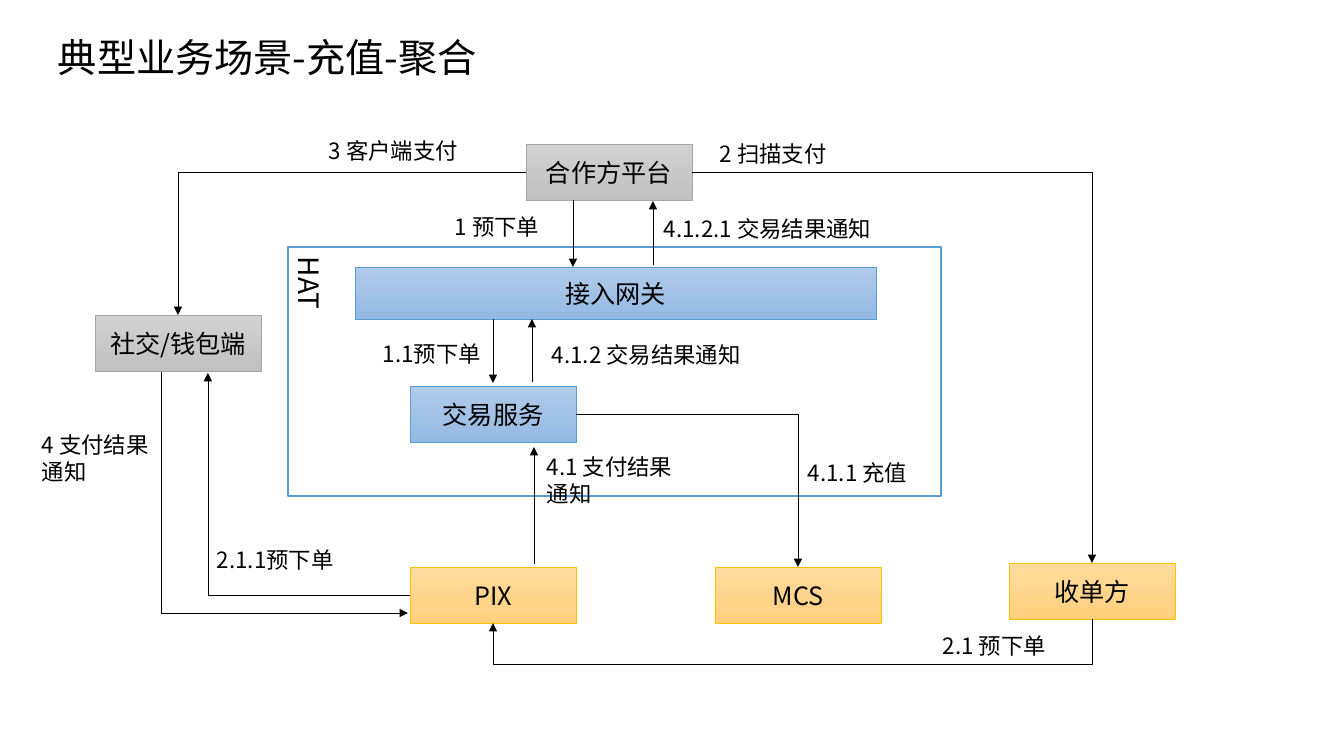
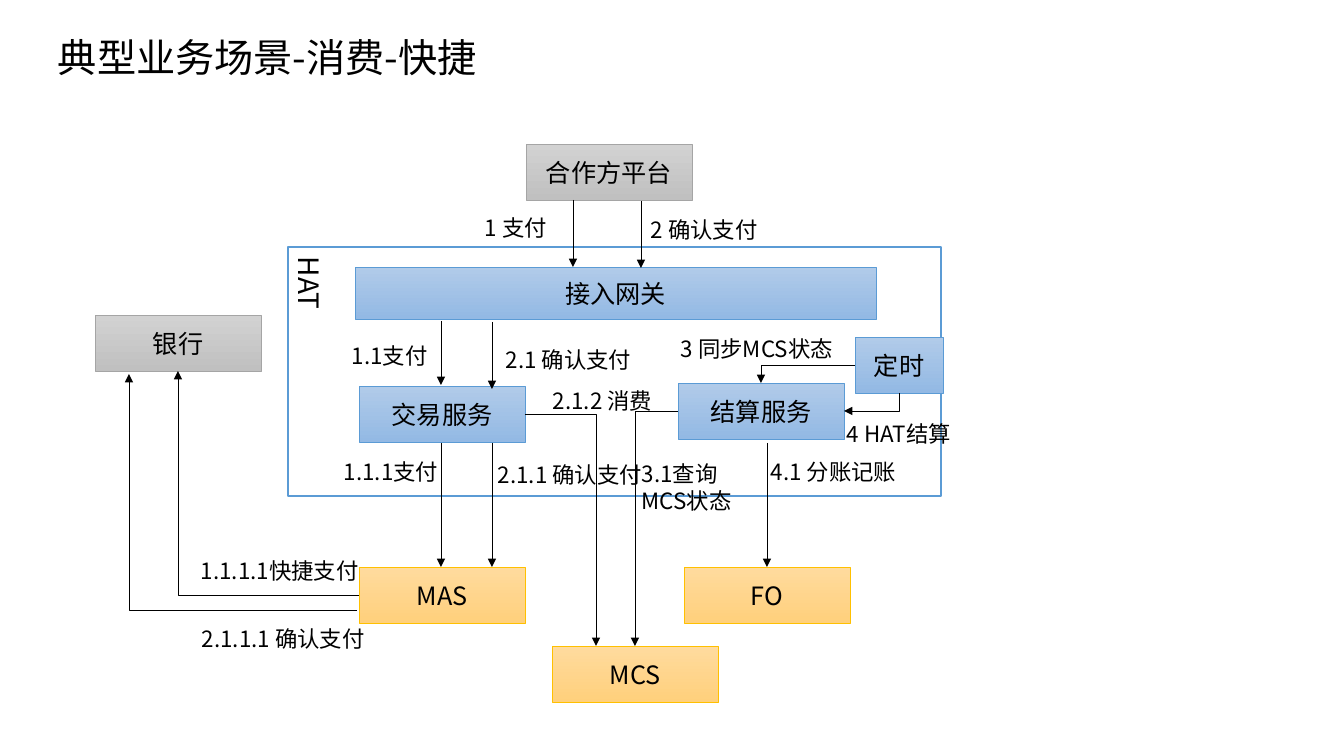
import lxml.etree
import pptx
import pptx.dml.color
import pptx.enum.shapes
import pptx.enum.text
import pptx.oxml.ns
import pptx.util

qn = pptx.oxml.ns.qn
PX = 12192000 / 1344  # EMU in one px
SLIDE_SIZE = (1344, 756)
BOX_SIZE = (166, 56)
LABEL_HEIGHT = 37
SIDES = {"top": 0, "left": 1, "bottom": 2, "right": 3}

THEME = {
    "font": "Noto Sans CJK SC",
    "ink": "000000",
    "paper": "FFFFFF",
    "title": 28, "system": 20, "box": 18, "label": 16,
    "thin": 0.5, "frame": 1,
    # gradient top, gradient bottom, outline
    "blue": ("B1CBE9", "93B9E4", "5B9BD5"),
    "gray": ("D2D2D2", "C0C0C0", "A5A5A5"),
    "orange": ("FFDB9E", "FFD07C", "FFC000"),
}

TITLE_AREA = (48, 28, 966, 57)
SYSTEM_AREA = (288, 247, 653, 249)

# Boxes found on every slide: text, colour, left, top, optional width and height
SHARED_BOXES = {
    "gateway": ("接入网关", "blue", 355, 267, 521, 52),
    "partner": ("合作方平台", "gray", 526, 144),
}

# arrows: x, start y, end y
# elbows: start, end, arrow end; they leave the start sideways and reach the end upright
# labels: text, left, top, width
SCENES = [
    {
        "title": "典型业务场景-充值-聚合",
        "boxes": {
            "trade": ("交易服务", "blue", 410, 386),
            "wallet": ("社交/钱包端", "gray", 95, 315),
            "pix": ("PIX", "orange", 410, 567),
            "mcs": ("MCS", "orange", 715, 567),
            "acquirer": ("收单方", "orange", 1009, 563),
        },
        "arrows": [(573, 200, 267), (493, 319, 383), (532, 382, 319),
                   (653, 265, 201), (534, 564, 447)],
        "elbows": [
            (("pix", "left"), (208, 373), "tail"),
            (("partner", "left"), ("wallet", "top"), "tail"),
            ((408, 613), (161, 372), "head"),
            (("trade", "right"), ("mcs", "top"), "tail"),
            (("partner", "right"), ("acquirer", "top"), "tail"),
        ],
        "returns": [("acquirer", "pix", 664)],  # from bottom, to bottom, lowest y
        "labels": [
            ("1 预下单", 445, 208, 126), ("1.1预下单", 373, 335, 120),
            ("4 支付结果通知", 32, 426, 142), ("3 客户端支付", 319, 132, 152),
            ("2.1.1预下单", 207, 541, 178), ("4.1 支付结果通知", 537, 448, 148),
            ("4.1.2 交易结果通知", 542, 336, 212),
            ("4.1.2.1 交易结果通知", 654, 210, 249),
            ("4.1.1 充值", 798, 454, 172), ("2.1 预下单", 933, 627, 152),
            ("2 扫描支付", 710, 135, 152),
        ],
    },
    {
        "title": "典型业务场景-消费-快捷",
        "boxes": {
            "trade": ("交易服务", "blue", 359, 386),
            "bank": ("银行", "gray", 95, 315),
            "mas": ("MAS", "orange", 359, 567),
            "settle": ("结算服务", "blue", 678, 383),
            "mcs": ("MCS", "orange", 552, 646),
            "fo": ("FO", "orange", 684, 567),
            "timer": ("定时", "blue", 855, 337, 88, 56),
        },
        "arrows": [(573, 200, 267), (441, 321, 385), (441, 443, 567), (641, 201, 268),
                   (492, 322, 389), (492, 443, 567), (767, 443, 567)],
        "elbows": [
            (("mas", "left"), ("bank", "bottom"), "tail"),
            ((357, 610), (129, 374), "tail"),
            (("trade", "right"), (596, 646), "tail"),
            (("timer", "left"), ("settle", "top"), "tail"),
            (("settle", "left"), ("mcs", "top"), "tail"),
            (("settle", "right"), ("timer", "bottom"), "head"),
        ],
        "returns": [],
        "labels": [
            ("1 支付", 475, 209, 126), ("1.1支付", 342, 337, 120),
            ("1.1.1.1快捷支付", 191, 552, 178), ("1.1.1支付", 334, 453, 174),
            ("2 确认支付", 641, 211, 145), ("2.1 确认支付", 496, 341, 165),
            ("2.1.1 确认支付", 488, 456, 168), ("2.1.1.1 确认支付", 192, 620, 187),
            ("2.1.2 消费", 543, 382, 172), ("4.1 分账记账", 761, 453, 156),
            ("3 同步MCS状态", 671, 330, 192), ("3.1查询MCS状态", 632, 455, 132),
            ("4 HAT结算", 837, 415, 192),
        ],
    },
]


def emu(*lengths):
    return [pptx.util.Emu(round(length * PX)) for length in lengths]


def color(name):
    return pptx.dml.color.RGBColor.from_string(name)


def write(shape, text, size, centred=False):
    frame = shape.text_frame
    frame.word_wrap = True
    paragraph = frame.paragraphs[0]
    paragraph.text = text
    if centred:
        paragraph.alignment = pptx.enum.text.PP_ALIGN.CENTER
    font = paragraph.font
    font.size = pptx.util.Pt(THEME[size])
    font.color.rgb = color(THEME["ink"])
    font.name = THEME["font"]
    lxml.etree.SubElement(font._rPr, qn("a:ea"), typeface=THEME["font"])


def add_text(slide, text, area, size):
    shape = slide.shapes.add_textbox(*emu(*area))
    write(shape, text, size)
    shape.text_frame.auto_size = pptx.enum.text.MSO_AUTO_SIZE.SHAPE_TO_FIT_TEXT


def add_rectangle(slide, area, outline, width):
    shape = slide.shapes.add_shape(
        pptx.enum.shapes.MSO_SHAPE.RECTANGLE, *emu(*area))
    shape.shadow.inherit = False
    shape.line.color.rgb = color(outline)
    shape.line.width = pptx.util.Pt(THEME[width])
    return shape


def add_system(slide):
    shape = add_rectangle(slide, SYSTEM_AREA, THEME["blue"][2], "frame")
    shape.fill.solid()
    shape.fill.fore_color.rgb = color(THEME["paper"])
    write(shape, "HAT", "system", centred=True)
    shape.text_frame.vertical_anchor = pptx.enum.text.MSO_ANCHOR.BOTTOM
    shape.text_frame._txBody.bodyPr.set("vert", "eaVert")


def add_box(slide, text, style, left, top, width=BOX_SIZE[0], height=BOX_SIZE[1]):
    *gradient, outline = THEME[style]
    shape = add_rectangle(slide, (left, top, width, height), outline, "thin")
    shape.fill.gradient()
    shape.fill.gradient_angle = 270
    for stop, shade in zip(shape.fill.gradient_stops, gradient):
        stop.color.rgb = color(shade)
    write(shape, text, "box", centred=True)
    shape.text_frame.vertical_anchor = pptx.enum.text.MSO_ANCHOR.MIDDLE
    return shape


def add_arrow(slide, start, end, arrow="tail", preset="line"):
    connector = slide.shapes.add_connector(
        pptx.enum.shapes.MSO_CONNECTOR.STRAIGHT, *emu(*start, *end))
    connector.line.color.rgb = color(THEME["ink"])
    connector.line.width = pptx.util.Pt(THEME["thin"])
    properties = connector._element.spPr
    properties.find(qn("a:prstGeom")).set("prst", preset)
    line = properties.find(qn("a:ln"))
    lxml.etree.SubElement(line, qn(f"a:{arrow}End"), type="triangle")
    lxml.etree.SubElement(properties, qn("a:effectLst"))
    return connector


def add_elbow(slide, boxes, start, end, arrow):
    connector = add_arrow(slide, (0, 0) if start[0] in boxes else start,
                          (0, 0) if end[0] in boxes else end, arrow, "bentConnector2")
    for point, connect in ((start, connector.begin_connect), (end, connector.end_connect)):
        if point[0] in boxes:
            connect(boxes[point[0]], SIDES[point[1]])


def add_return(slide, start_box, end_box, lowest):
    """Join two bottom edges by a line that dips below both, turned a quarter."""
    x1, x2 = (box.left + box.width // 2 for box in (start_box, end_box))
    y1, y2 = (box.top + box.height for box in (start_box, end_box))
    connector = add_arrow(slide, (0, 0), (0, 0), preset="bentConnector3")
    connector.begin_connect(start_box, SIDES["bottom"])
    connector.end_connect(end_box, SIDES["bottom"])
    properties = connector._element.spPr
    transform = properties.find(qn("a:xfrm"))
    transform.attrib.clear()
    transform.set("rot", "5400000")
    connector.width, connector.height = y2 - y1, x1 - x2
    connector.left = (x1 + x2 - connector.width) // 2
    connector.top = (y1 + y2 - connector.height) // 2
    bend = round((lowest * PX - y1) / (y2 - y1) * 100000)
    guides = properties.find(qn("a:prstGeom")).get_or_add_avLst()
    lxml.etree.SubElement(guides, qn("a:gd"), name="adj1", fmla=f"val {bend}")


def build_scene(presentation, scene):
    slide = presentation.slides.add_slide(presentation.slide_layouts[6])
    add_text(slide, scene["title"], TITLE_AREA, "title")
    add_system(slide)
    boxes = {name: add_box(slide, *box)
             for name, box in (SHARED_BOXES | scene["boxes"]).items()}
    for x, start, end in scene["arrows"]:
        add_arrow(slide, (x, start), (x, end))
    for elbow in scene["elbows"]:
        add_elbow(slide, boxes, *elbow)
    for start, end, lowest in scene["returns"]:
        add_return(slide, boxes[start], boxes[end], lowest)
    for text, left, top, width in scene["labels"]:
        add_text(slide, text, (left, top, width, LABEL_HEIGHT), "label")


def main():
    presentation = pptx.Presentation()
    presentation.slide_width, presentation.slide_height = emu(*SLIDE_SIZE)
    for scene in SCENES:
        build_scene(presentation, scene)
    presentation.save("out.pptx")


if __name__ == "__main__":
    main()
